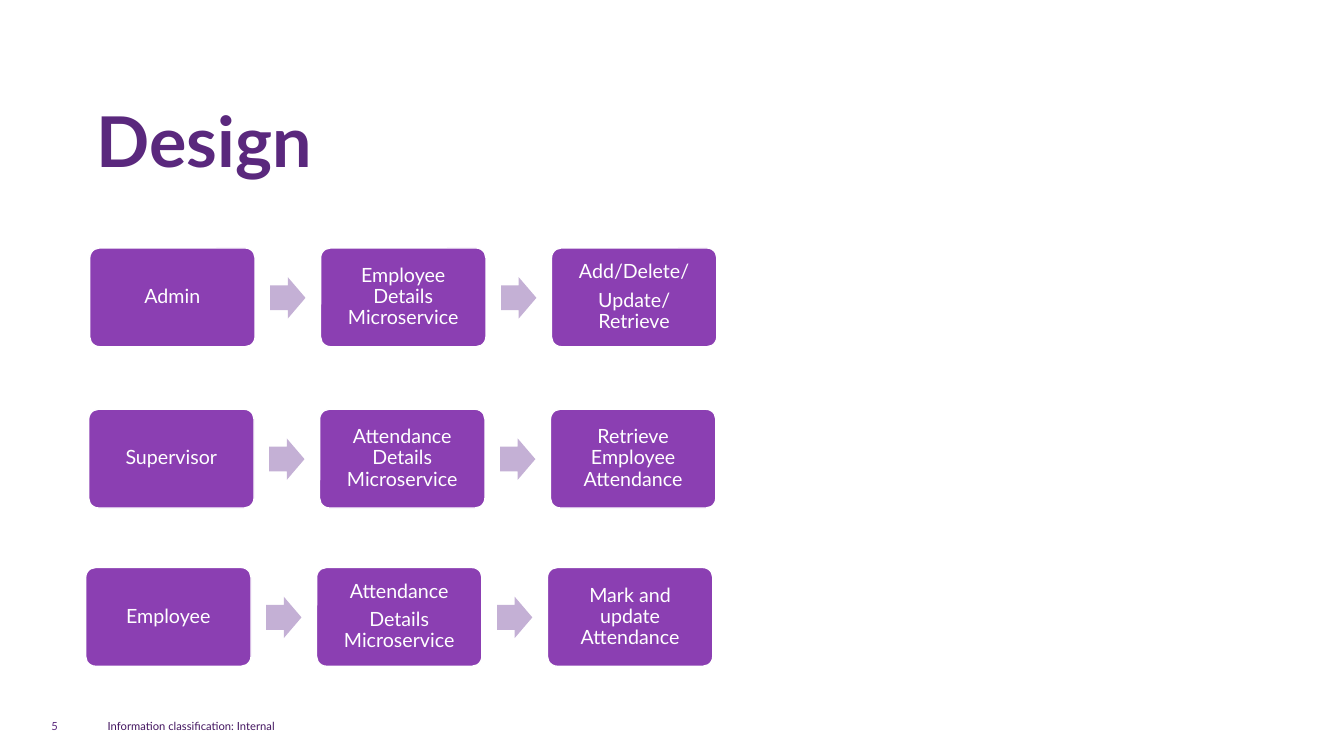
from dataclasses import dataclass

from pptx import Presentation
from pptx.dml.color import RGBColor
from pptx.enum import shapes, text
from pptx.util import Inches, Pt

FONT = "Lato"
PURPLE = "5A287D"
WHITE = "FFFFFF"
STEP = 2.29
GAP = 1.79


@dataclass
class Label:
    words: str
    left: float
    top: float
    width: float
    height: float
    size: int
    color: str = PURPLE
    bold: bool = False
    pad: tuple = (0, 0)
    anchor: text.MSO_ANCHOR = text.MSO_ANCHOR.MIDDLE
    lead: float = 1.0


@dataclass
class Flow:
    left: float
    top: float
    steps: list[list[str]]


LABELS = [
    Label("Information classification: Internal", 0.97, 7.09, 2.16, 0.24, 8,
          "42145F", pad=(0.1, 0.05), anchor=text.MSO_ANCHOR.TOP),
    Label("5", 0.51, 7.12, 0.24, 0.16, 8),
    Label("Design", 0.96, 1.03, 7.47, 0.78, 50, bold=True,
          anchor=text.MSO_ANCHOR.BOTTOM, lead=0.9),
]

FLOWS = [
    Flow(0.89, 2.46, [["Admin"], ["Employee Details\nMicroservice"],
                      ["Add/Delete/", "Update/Retrieve"]]),
    Flow(0.88, 4.06, [["Supervisor"], ["Attendance Details\nMicroservice"],
                      ["Retrieve Employee Attendance"]]),
    Flow(0.85, 5.63, [["Employee"], ["Attendance", "Details\nMicroservice"],
                      ["Mark and update Attendance"]]),
]


def rgb(code: str) -> RGBColor:
    return RGBColor.from_string(code)


def style(para, size: int, color: str, bold: bool = False) -> None:
    font = para.font
    font.name = FONT
    font.size = Pt(size)
    font.bold = bold
    font.color.rgb = rgb(color)


def inset(frame, side: float, edge: float) -> None:
    frame.word_wrap = True
    frame.margin_left = frame.margin_right = Inches(side)
    frame.margin_top = frame.margin_bottom = Inches(edge)


def add_label(slide, label: Label) -> None:
    box = slide.shapes.add_textbox(Inches(label.left), Inches(label.top),
                                   Inches(label.width), Inches(label.height))
    frame = box.text_frame
    inset(frame, *label.pad)
    frame.vertical_anchor = label.anchor
    para = frame.paragraphs[0]
    para.text = label.words
    para.line_spacing = label.lead
    style(para, label.size, label.color, label.bold)


def add_block(slide, kind, left: float, top: float, width: float,
              height: float, fill: str):
    block = slide.shapes.add_shape(kind, Inches(left), Inches(top),
                                   Inches(width), Inches(height))
    block.shadow.inherit = False
    block.fill.solid()
    block.fill.fore_color.rgb = rgb(fill)
    block.line.fill.background()
    return block


def add_card(slide, left: float, top: float, lines: list[str]) -> None:
    card = add_block(slide, shapes.MSO_SHAPE.ROUNDED_RECTANGLE,
                     left, top, 1.64, 0.98, "8B3FB2")
    card.adjustments[0] = 0.1
    card.line.color.rgb = rgb(WHITE)
    card.line.width = Pt(1)
    frame = card.text_frame
    inset(frame, 0.09, 0.09)
    frame.vertical_anchor = text.MSO_ANCHOR.MIDDLE
    for index, line in enumerate(lines):
        para = frame.add_paragraph() if index else frame.paragraphs[0]
        para.text = line
        para.alignment = text.PP_ALIGN.CENTER
        para.line_spacing = 0.9
        para.space_after = Pt(5)
        style(para, 14, WHITE)


def add_flow(slide, flow: Flow) -> None:
    for index, lines in enumerate(flow.steps):
        left = flow.left + index * STEP
        add_card(slide, left, flow.top, lines)
        if index < len(flow.steps) - 1:
            arrow = add_block(slide, shapes.MSO_SHAPE.RIGHT_ARROW,
                              left + GAP, flow.top + 0.29, 0.35, 0.41, "C4B0D5")
            arrow.adjustments[0] = 0.6
            arrow.adjustments[1] = 0.5


def main() -> None:
    deck = Presentation()
    deck.slide_width = Inches(13.33)
    deck.slide_height = Inches(7.5)
    slide = deck.slides.add_slide(deck.slide_layouts[6])
    for label in LABELS:
        add_label(slide, label)
    for flow in FLOWS:
        add_flow(slide, flow)
    deck.save("out.pptx")


if __name__ == "__main__":
    main()
